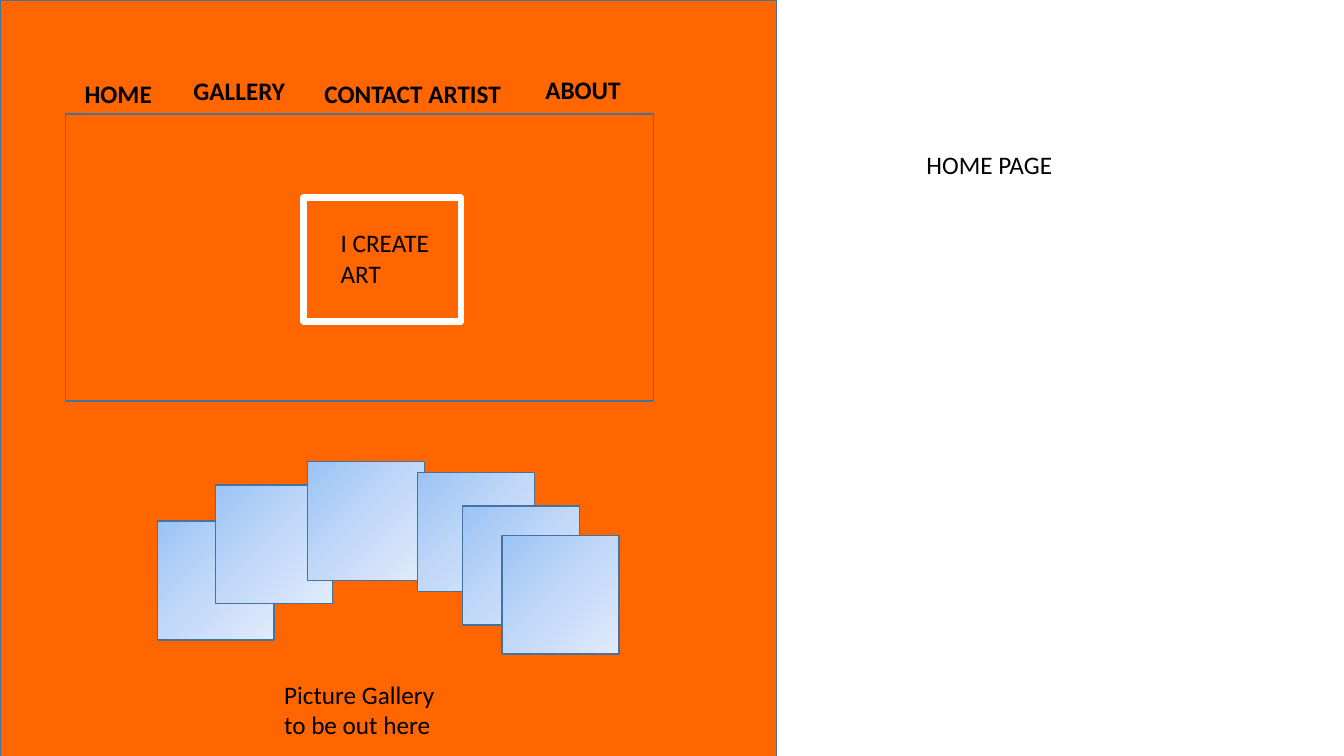
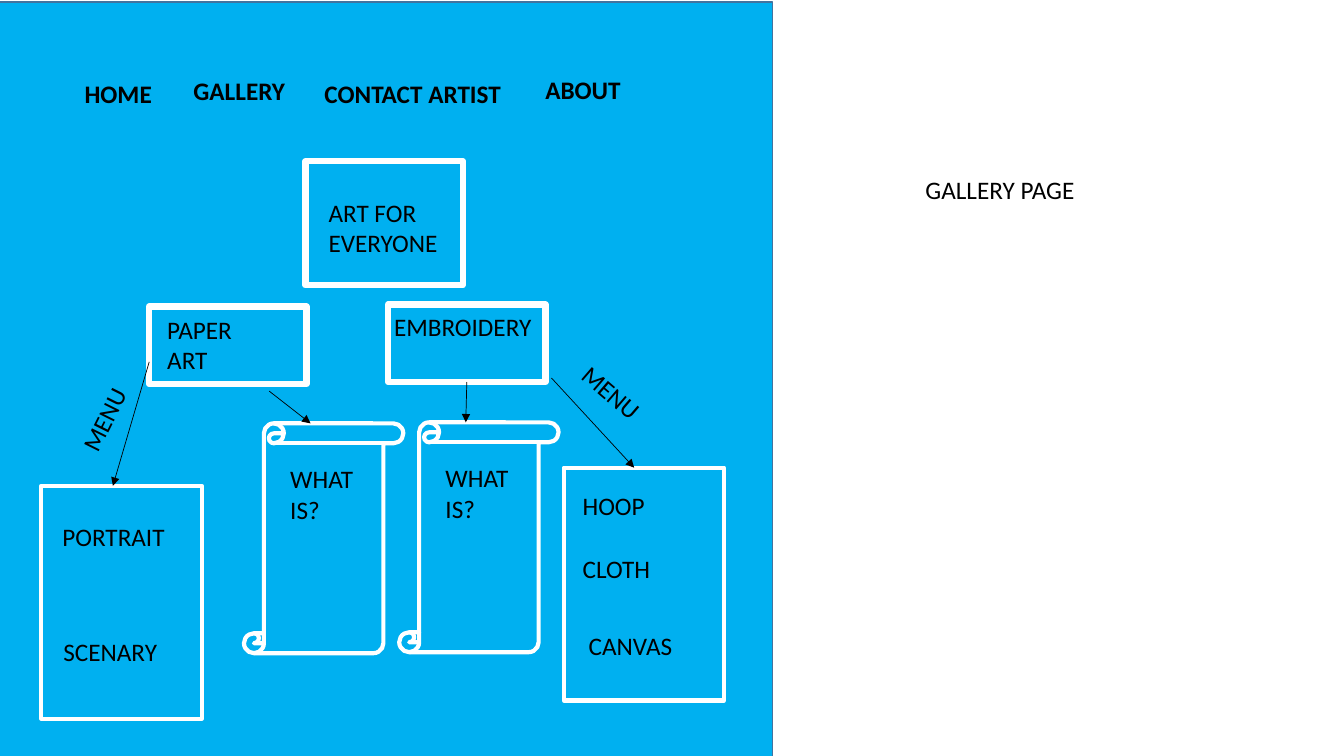
from copy import deepcopy
from typing import NamedTuple, Optional

from lxml import etree
from pptx import Presentation
from pptx.dml.color import RGBColor
from pptx.enum.shapes import MSO_CONNECTOR, MSO_SHAPE
from pptx.enum.text import MSO_AUTO_SIZE
from pptx.oxml.ns import qn
from pptx.util import Inches, Pt

RECT = MSO_SHAPE.RECTANGLE
SCROLL = MSO_SHAPE.VERTICAL_SCROLL
STRAIGHT = MSO_CONNECTOR.STRAIGHT
FIT = MSO_AUTO_SIZE.SHAPE_TO_FIT_TEXT

ORANGE, BLUE = "FF6600", "00B0F0"
WHITE, BLACK, EDGE = "FFFFFF", "000000", "43739E"
FADE = [(0, "9AC3F5"), (0.5, "C2D8F8"), (1, "E1EBFB")]
FONT = {"name": "Calibri", "size": Pt(18)}


class Box(NamedTuple):
    left: float
    top: float
    width: float
    height: float
    fill: Optional[str] = None
    line: str = WHITE
    weight: float = 4.5
    kind: int = RECT


class Label(NamedTuple):
    text: str
    left: float
    top: float
    width: float
    height: float = 0.4
    bold: bool = False
    turn: float = 0


class Arrow(NamedTuple):
    x1: float
    y1: float
    x2: float
    y2: float


# Shared navigation row
MENU = [
    Label("HOME", 0.74, 0.73, 0.98, bold=True),
    Label("GALLERY", 1.82, 0.7, 1.19, bold=True),
    Label("CONTACT ARTIST", 3.12, 0.73, 2.14, bold=True),
    Label("ABOUT", 5.31, 0.69, 2.14, bold=True),
]


def rgb(code: str) -> RGBColor:
    return RGBColor.from_string(code)


def add_box(slide, box: Box):
    shape = slide.shapes.add_shape(box.kind, *map(Inches, box[:4]))
    shape.shadow.inherit = False
    if box.fill:
        shape.fill.solid()
        shape.fill.fore_color.rgb = rgb(box.fill)
    else:
        shape.fill.background()
    shape.line.color.rgb = rgb(box.line)
    shape.line.width = Pt(box.weight)
    return shape


def add_fade(shape) -> None:
    shape.fill.gradient()
    stops = shape.element.spPr.find(qn("a:gradFill")).find(qn("a:gsLst"))
    stops.insert(1, deepcopy(stops[0]))
    for stop, (place, code) in zip(shape.fill.gradient_stops, FADE):
        stop.position = place
        stop.color.rgb = rgb(code)
    shape.fill.gradient_angle = 315


def add_label(slide, label: Label) -> None:
    shape = slide.shapes.add_textbox(*map(Inches, label[1:5]))
    shape.rotation = label.turn
    frame = shape.text_frame
    frame.word_wrap = True
    frame.auto_size = FIT
    run = frame.paragraphs[0].add_run()
    run.text = label.text
    for key, value in {**FONT, "bold": label.bold}.items():
        setattr(run.font, key, value)
    run.font.color.rgb = rgb(BLACK)


def add_arrow(slide, arrow: Arrow):
    link = slide.shapes.add_connector(STRAIGHT, *map(Inches, arrow))
    link.line.color.rgb = rgb(BLACK)
    link.line.width = Pt(0.5)
    props = link.element.spPr
    etree.SubElement(props.find(qn("a:ln")), qn("a:tailEnd"), type="triangle")
    etree.SubElement(props, qn("a:effectLst"))
    return link


def add_page(deck, left: float, top: float, color: str, title: Label):
    slide = deck.slides.add_slide(deck.slide_layouts[6])
    add_box(slide, Box(left, top, 7.7, 7.72, color, EDGE, 1))
    for label in [*MENU, title]:
        add_label(slide, label)
    return slide


def build_home(deck) -> None:
    slide = add_page(deck, 0, 0, ORANGE, Label("HOME PAGE", 9.09, 1.43, 2.8))

    # Banner with its slogan
    add_box(slide, Box(3.01, 1.96, 1.56, 1.23))
    add_label(slide, Label("I CREATE ART", 3.28, 2.21, 1.29, 0.71))
    add_box(slide, Box(0.65, 1.13, 5.83, 2.85, line=EDGE, weight=1))

    # Fan of tiles
    for left, top in [(1.56, 5.17), (2.14, 4.81), (3.05, 4.58),
                      (4.14, 4.69), (4.59, 5.02), (4.98, 5.31)]:
        add_fade(add_box(slide, Box(left, top, 1.16, 1.18, line=EDGE, weight=1)))
    add_label(slide, Label("Picture Gallery to be out here", 2.72, 6.69, 1.86, 0.71))


def build_gallery(deck) -> None:
    slide = add_page(deck, -0.04, 0.02, BLUE,
                     Label("GALLERY PAGE", 9.08, 1.68, 2.81))

    # Heading and the two art forms
    add_box(slide, Box(3.03, 1.6, 1.56, 1.23))
    add_box(slide, Box(1.48, 3.04, 1.56, 0.77))
    thread = add_box(slide, Box(3.85, 3.02, 1.56, 0.77))

    # Menu lists and scrolls
    for left, top in [(0.41, 4.82), (5.59, 4.64)]:
        add_box(slide, Box(left, top, 1.59, 2.31, weight=3))
    for left, top in [(2.42, 4.2), (3.96, 4.19)]:
        add_box(slide, Box(left, top, 1.58, 2.28, weight=3, kind=SCROLL))
        add_label(slide, Label("WHAT IS?", left + 0.36, top + 0.35, 0.91, 0.71))

    for label in [
        Label("ART FOR EVERYONE", 3.16, 1.91, 1.29, 0.71),
        Label("PAPER ART", 1.56, 3.07, 1.29, 0.71),
        Label("EMBROIDERY", 3.81, 3.04, 1.7),
        Label("PORTRAIT", 0.52, 5.12, 1.39),
        Label("SCENARY", 0.53, 6.26, 1.39),
        Label("HOOP", 5.68, 4.82, 1.39),
        Label("CLOTH", 5.68, 5.44, 1.39),
        Label("CANVAS", 5.74, 6.2, 1.39),
        Label("MENU", 0.54, 3.86, 1.08, turn=296.5),
        Label("MENU", 5.62, 3.74, 1, turn=40.6),
    ]:
        add_label(slide, label)

    # Arrows
    for arrow in [Arrow(1.48, 3.59, 1.12, 4.82), Arrow(5.47, 3.75, 6.29, 4.64),
                  Arrow(2.67, 3.88, 3.08, 4.2)]:
        add_arrow(slide, arrow)
    add_arrow(slide, Arrow(4.63, 3.79, 4.62, 4.19)).begin_connect(thread, 2)


def main() -> None:
    deck = Presentation()
    deck.slide_width, deck.slide_height = Inches(13.33), Inches(7.5)
    build_home(deck)
    build_gallery(deck)
    deck.save("out.pptx")


if __name__ == "__main__":
    main()
